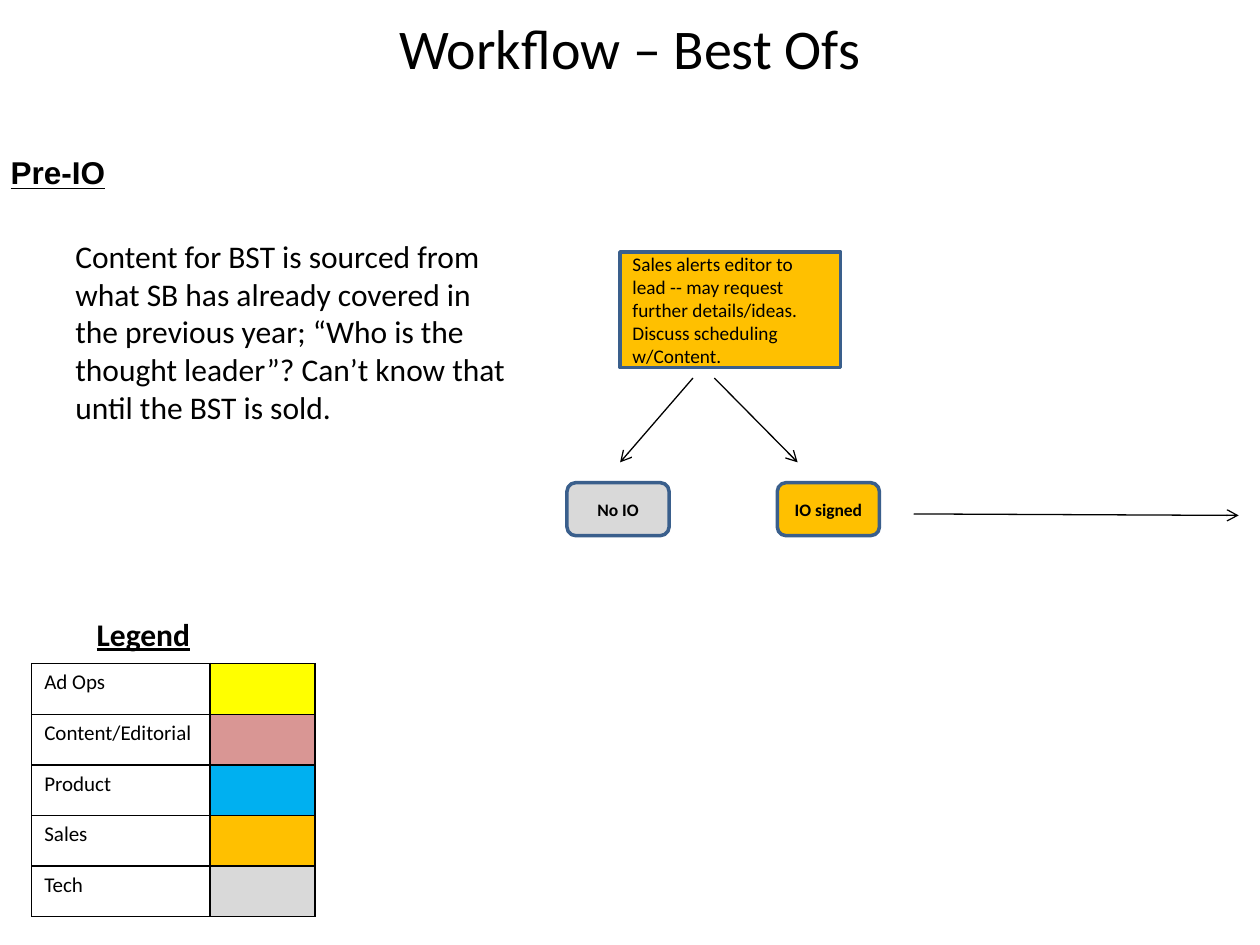
from lxml import etree
from pptx import Presentation
from pptx.dml.color import RGBColor
from pptx.enum.shapes import MSO_CONNECTOR, MSO_SHAPE
from pptx.enum.text import MSO_ANCHOR, PP_ALIGN
from pptx.oxml.ns import qn
from pptx.util import Cm, Pt

LEFT, CENTER = PP_ALIGN.LEFT, PP_ALIGN.CENTER
TOP, MIDDLE = MSO_ANCHOR.TOP, MSO_ANCHOR.MIDDLE
RECT, ROUND = MSO_SHAPE.RECTANGLE, MSO_SHAPE.ROUNDED_RECTANGLE
STRAIGHT = MSO_CONNECTOR.STRAIGHT

BLACK = RGBColor(0x00, 0x00, 0x00)
NAVY = RGBColor(0x3A, 0x5F, 0x8C)
YELLOW = RGBColor(0xFF, 0xFF, 0x00)
ROSE = RGBColor(0xD9, 0x96, 0x94)
BLUE = RGBColor(0x00, 0xB0, 0xF0)
AMBER = RGBColor(0xFF, 0xC0, 0x00)
GRAY = RGBColor(0xD9, 0xD9, 0xD9)


class Board:
    """Holds the style and the current slide."""

    font = "Calibri"
    ink = BLACK

    def __init__(self, slide):
        """Keep the slide to draw on."""
        self.slide = slide

    def add_run(self, frame, text, size, align=LEFT, bold=False, under=False, font=None):
        """Add one styled run to a text frame."""
        para = frame.paragraphs[0]
        para.alignment = align
        run = para.add_run()
        run.text = text
        run.font.name = font or self.font
        run.font.size = Pt(size)
        run.font.bold = bold
        run.font.underline = under
        run.font.color.rgb = self.ink

    def text(self, area, text, size, anchor=TOP, **look):
        """Add a wrapped text box."""
        frame = self.slide.shapes.add_textbox(*map(Cm, area)).text_frame
        frame.word_wrap = True
        frame.vertical_anchor = anchor
        self.add_run(frame, text, size, **look)

    def box(self, kind, area, fill, text, size, **look):
        """Add a filled, outlined step with text."""
        step = self.slide.shapes.add_shape(kind, *map(Cm, area))
        step.shadow.inherit = False
        step.fill.solid()
        step.fill.fore_color.rgb = fill
        step.line.color.rgb = NAVY
        step.line.width = Pt(2)
        frame = step.text_frame
        frame.word_wrap = True
        frame.vertical_anchor = MIDDLE
        self.add_run(frame, text, size, **look)

    def arrow(self, *ends):
        """Add a thin line with an open arrowhead at its end."""
        line = self.slide.shapes.add_connector(STRAIGHT, *map(Cm, ends))
        line.line.color.rgb = self.ink
        line.line.width = Pt(0.75)
        props = line._element.spPr
        etree.SubElement(props.find(qn("a:ln")), qn("a:tailEnd"), type="arrow")
        etree.SubElement(props, qn("a:effectLst"))

    def border(self, cell):
        """Draw a black line on each side of a cell."""
        props = cell._tc.get_or_add_tcPr()
        for spot, side in enumerate(("lnL", "lnR", "lnT", "lnB")):
            edge = etree.Element(qn("a:" + side), w=str(Pt(1)))
            fill = etree.SubElement(edge, qn("a:solidFill"))
            etree.SubElement(fill, qn("a:srgbClr"), val=str(self.ink))
            props.insert(spot, edge)

    def legend(self, left, top, widths, height, items):
        """Add a table of names and colour swatches."""
        area = (left, top, sum(widths), height * len(items))
        grid = self.slide.shapes.add_table(len(items), 2, *map(Cm, area)).table
        grid.first_row = grid.horz_banding = False
        for col, width in zip(grid.columns, widths):
            col.width = Cm(width)
        for row, (name, color) in enumerate(items):
            grid.rows[row].height = Cm(height)
            label, swatch = grid.cell(row, 0), grid.cell(row, 1)
            label.fill.background()
            self.add_run(label.text_frame, name, 12)
            swatch.fill.solid()
            swatch.fill.fore_color.rgb = color
            self.border(label)
            self.border(swatch)


def main():
    """Build and save the workflow slide."""
    deck = Presentation()
    deck.slide_width, deck.slide_height = Cm(25.4), Cm(19.05)
    board = Board(deck.slides.add_slide(deck.slide_layouts[6]))

    board.text((0, 0, 25.4, 1.9), "Workflow – Best Ofs", 32, MIDDLE, align=CENTER)
    board.text((-1.9, 2.97, 6.14, 1.02), "Pre-IO", 18,
               align=CENTER, bold=True, under=True, font="Arial")
    board.text((1.27, 4.65, 9.31, 4.1),
               "Content for BST is sourced from what SB has already covered in the "
               "previous year; “Who is the thought leader”? Can’t know that until "
               "the BST is sold.", 18)

    board.box(RECT, (12.5, 5.08, 4.45, 2.33), AMBER,
              "Sales alerts editor to lead -- may request further details/ideas. "
              "Discuss scheduling w/Content.", 11)
    for left, fill, name in ((11.43, GRAY, "No IO"), (15.67, AMBER, "IO signed")):
        board.box(ROUND, (left, 9.73, 2.06, 1.07), fill, name, 10,
                  align=CENTER, bold=True)
    board.arrow(13.97, 7.62, 12.5, 9.32)
    board.arrow(14.4, 7.62, 16.08, 9.32)
    board.arrow(18.42, 10.36, 24.97, 10.39)

    board.text((1.7, 12.27, 3.6, 1.02), "Legend", 18, bold=True, under=True)
    board.legend(0.64, 13.38, (3.59, 2.12), 1.02, (
        ("Ad Ops", YELLOW),
        ("Content/Editorial", ROSE),
        ("Product", BLUE),
        ("Sales", AMBER),
        ("Tech", GRAY),
    ))
    deck.save("out.pptx")


main()
